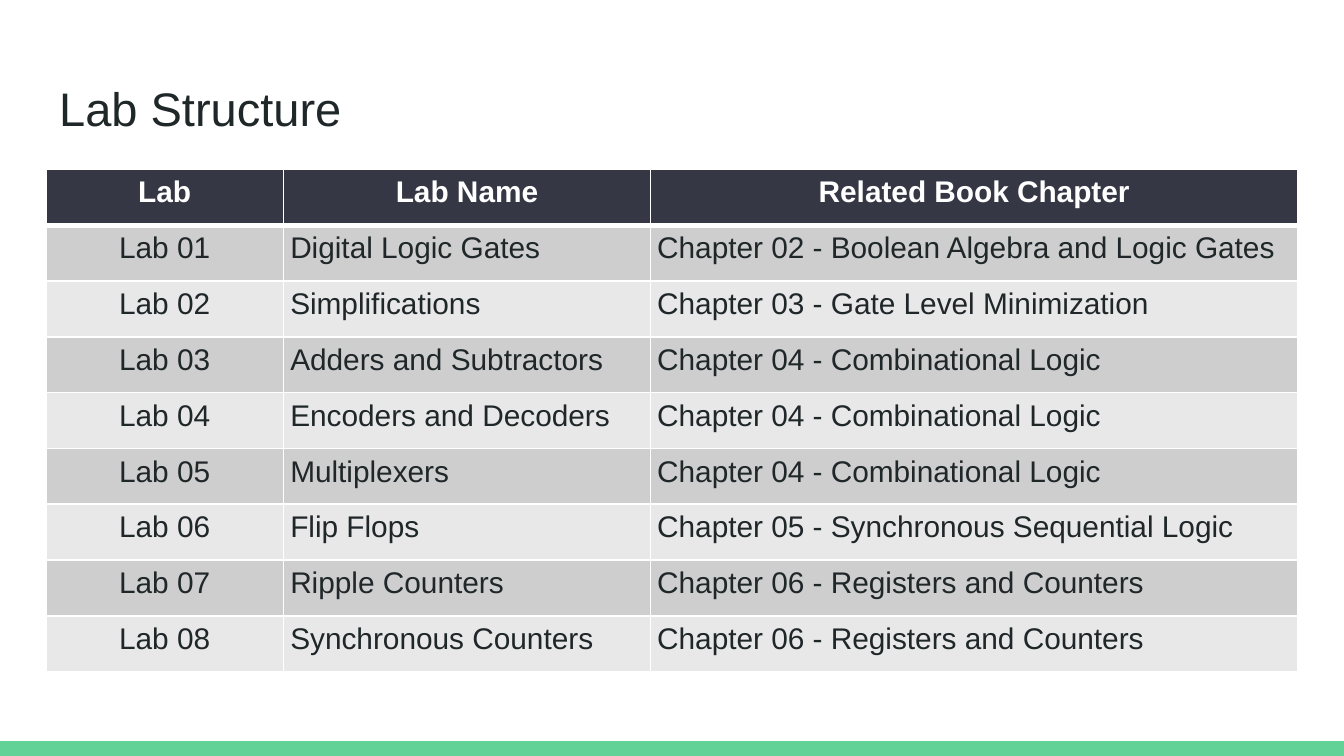
from dataclasses import dataclass

from lxml.etree import SubElement
from pptx import Presentation
from pptx.dml.color import RGBColor
from pptx.enum.shapes import MSO_SHAPE
from pptx.enum.text import MSO_ANCHOR, MSO_AUTO_SIZE, PP_ALIGN
from pptx.oxml.ns import qn
from pptx.util import Inches, Pt


@dataclass(frozen=True)
class Theme:
    """Colours, font and type sizes of the deck."""
    font: str = "Arial"
    ink: str = "202729"
    white: str = "FFFFFF"
    accent: str = "63D297"
    header: str = "353744"
    bands: tuple = ("CECECF", "E8E8E9")
    title_size: float = 25.2
    table_size: float = 16


THEME = Theme()
PAGE_WIDTH = Inches(10)
PAGE_HEIGHT = PAGE_WIDTH * 9 // 16
LEFT, WIDTH = 0.34, 9.32
TABLE_TOP, TABLE_HEIGHT = 1.26, 3.74
COLUMN_WIDTHS = (1.77, 2.73, 4.82)
HEADINGS = ("Lab", "Lab Name", "Related Book Chapter")
LABS = (
    ("Digital Logic Gates", "Chapter 02 - Boolean Algebra and Logic Gates"),
    ("Simplifications", "Chapter 03 - Gate Level Minimization"),
    ("Adders and Subtractors", "Chapter 04 - Combinational Logic"),
    ("Encoders and Decoders", "Chapter 04 - Combinational Logic"),
    ("Multiplexers", "Chapter 04 - Combinational Logic"),
    ("Flip Flops", "Chapter 05 - Synchronous Sequential Logic"),
    ("Ripple Counters", "Chapter 06 - Registers and Counters"),
    ("Synchronous Counters", "Chapter 06 - Registers and Counters"),
)


def apply(target, values):
    """Set attributes of an object from a dict."""
    for name, value in values.items():
        setattr(target, name, value)


def margins(size):
    """Return equal inner margins for all four sides."""
    return {f"margin_{side}": Inches(size) for side in ("left", "top", "right", "bottom")}


def paint(fill, color):
    """Make a fill solid in one colour."""
    fill.solid()
    fill.fore_color.rgb = RGBColor.from_string(color)


def write(para, text, size, color, bold=False, align=PP_ALIGN.LEFT):
    """Write one formatted run into a paragraph."""
    para.alignment = align
    span = para.add_run()
    span.text = text
    apply(span.font, {"name": THEME.font, "size": Pt(size), "bold": bold})
    span.font.color.rgb = RGBColor.from_string(color)


def add_footer_bar(page):
    """Draw the accent bar along the bottom edge."""
    height = Inches(0.11)
    bar = page.shapes.add_shape(MSO_SHAPE.RECTANGLE, 0, PAGE_HEIGHT - height, PAGE_WIDTH, height)
    bar.shadow.inherit = False
    paint(bar.fill, THEME.accent)
    bar.line.fill.background()


def set_title(page, text):
    """Place and format the title placeholder."""
    title = page.shapes.title
    apply(title, {"left": Inches(LEFT), "top": Inches(0.49),
                  "width": Inches(WIDTH), "height": Inches(0.63)})
    apply(title.text_frame, {**margins(0.1), "word_wrap": True, "auto_size": MSO_AUTO_SIZE.NONE,
                             "vertical_anchor": MSO_ANCHOR.MIDDLE})
    write(title.text_frame.paragraphs[0], text, THEME.title_size, THEME.ink)


def set_borders(cell, bottom):
    """Give a cell white borders with a chosen bottom width."""
    properties = cell._tc.get_or_add_tcPr()
    for side, width in {"L": 1, "R": 1, "T": 1, "B": bottom}.items():
        line = SubElement(properties, qn(f"a:ln{side}"), w=str(Pt(width)))
        fill = SubElement(line, qn("a:solidFill"))
        SubElement(fill, qn("a:srgbClr"), val=THEME.white)


def fill_cell(cell, text, fill, color, bold, align):
    """Format and fill one table cell."""
    set_borders(cell, 3 if bold else 1)
    paint(cell.fill, fill)
    apply(cell, {**margins(0.05), "vertical_anchor": MSO_ANCHOR.TOP})
    write(cell.text_frame.paragraphs[0], text, THEME.table_size, color, bold, align)


def add_lab_table(page):
    """Build the table of labs with a header and alternating bands."""
    rows = [HEADINGS] + [(f"Lab {number:02}", *lab) for number, lab in enumerate(LABS, 1)]
    table = page.shapes.add_table(len(rows), len(HEADINGS), Inches(LEFT), Inches(TABLE_TOP),
                                  Inches(WIDTH), Inches(TABLE_HEIGHT)).table
    for column, width in zip(table.columns, COLUMN_WIDTHS):
        column.width = Inches(width)
    for row_index, texts in enumerate(rows):
        is_header = row_index == 0
        fill = THEME.header if is_header else THEME.bands[(row_index - 1) % 2]
        color = THEME.white if is_header else THEME.ink
        for column_index, text in enumerate(texts):
            centred = is_header or column_index == 0
            align = PP_ALIGN.CENTER if centred else PP_ALIGN.LEFT
            fill_cell(table.cell(row_index, column_index), text, fill, color, is_header, align)


def main():
    """Build and save the lab structure slide."""
    deck = Presentation()
    apply(deck, {"slide_width": PAGE_WIDTH, "slide_height": PAGE_HEIGHT})
    page = deck.slides.add_slide(deck.slide_layouts[5])
    paint(page.background.fill, THEME.white)
    add_footer_bar(page)
    set_title(page, "Lab Structure")
    add_lab_table(page)
    deck.save("out.pptx")


if __name__ == "__main__":
    main()
